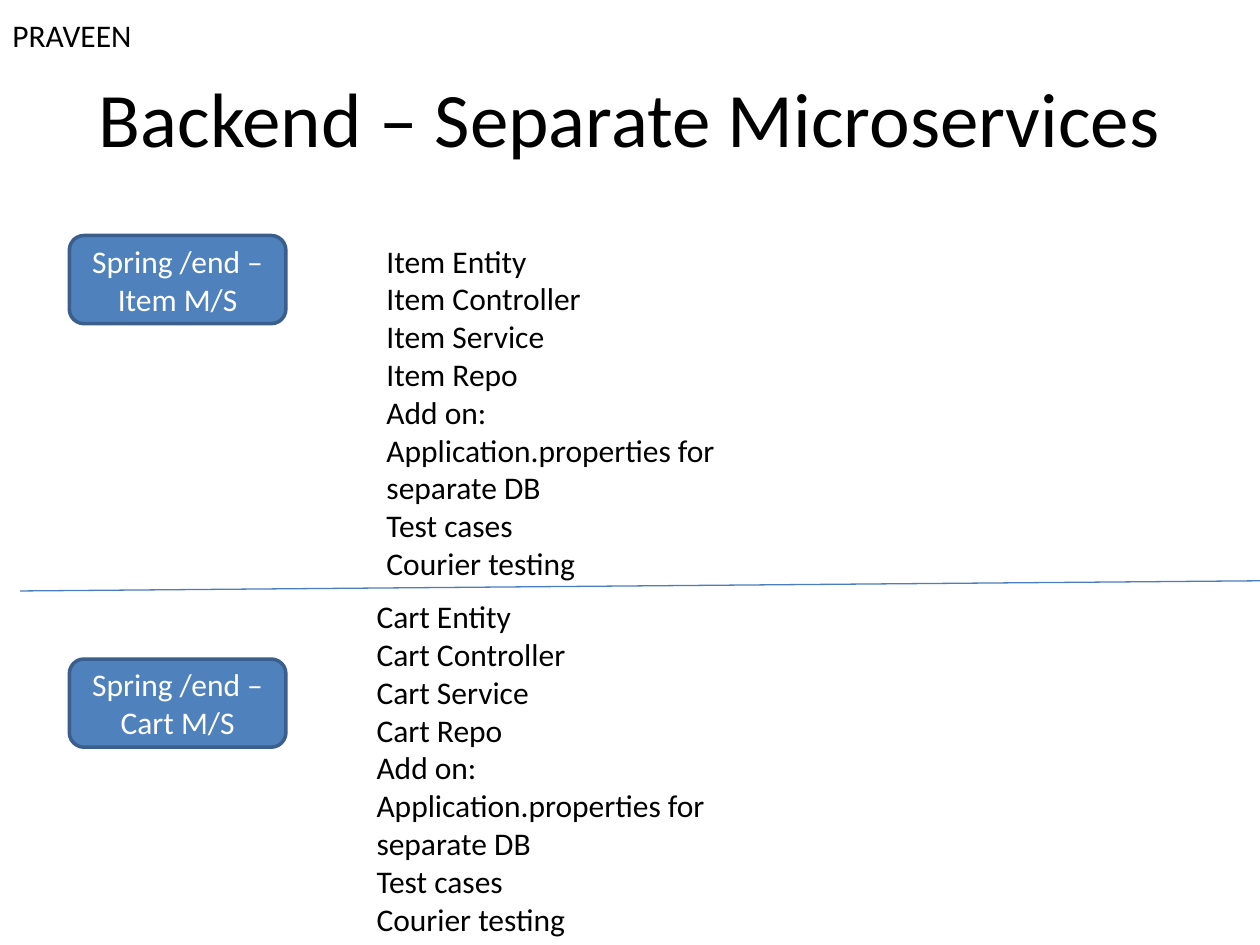
from dataclasses import dataclass

from lxml import etree
from pptx import Presentation
from pptx.dml.color import RGBColor
from pptx.enum.shapes import MSO_CONNECTOR, MSO_SHAPE
from pptx.enum.text import MSO_ANCHOR, PP_ALIGN
from pptx.oxml.ns import qn
from pptx.util import Pt

ROUND = MSO_SHAPE.ROUNDED_RECTANGLE
STRAIGHT = MSO_CONNECTOR.STRAIGHT
LEFT, CENTER = PP_ALIGN.LEFT, PP_ALIGN.CENTER
TOP, MIDDLE = MSO_ANCHOR.TOP, MSO_ANCHOR.MIDDLE


@dataclass(frozen=True)
class Theme:
    face: str = "Calibri"
    title: int = 44
    body: int = 18
    ink: RGBColor = RGBColor(0, 0, 0)
    light: RGBColor = RGBColor(255, 255, 255)
    fill: RGBColor = RGBColor.from_string("4F81BD")
    edge: RGBColor = RGBColor.from_string("3A5F8C")
    rule: RGBColor = RGBColor.from_string("4B7EBC")


theme = Theme()


def write(shape, lines, size=theme.body, color=theme.ink, align=LEFT, anchor=TOP):
    """Fill the shape with one paragraph per line."""
    frame = shape.text_frame
    frame.word_wrap = True
    frame.vertical_anchor = anchor
    frame.text = "\n".join(lines)
    for para in frame.paragraphs:
        para.alignment = align
        para.font.name = theme.face
        para.font.size = Pt(size)
        para.font.color.rgb = color


deck = Presentation()
deck.slide_width, deck.slide_height = Pt(720), Pt(540)
slide = deck.slides.add_slide(deck.slide_layouts[6])
shapes = slide.shapes

title = shapes.add_textbox(Pt(36), Pt(21.6), Pt(648), Pt(90))
write(title, ["Backend – Separate Microservices"], theme.title, align=CENTER, anchor=MIDDLE)

# Each service: name, top of its box, left and top of its list
services = [
    ("Item", 134.6, 213.8, 134.6),
    ("Cart", 376.6, 208.1, 337.7),
]
parts = ["Entity", "Controller", "Service", "Repo"]
extras = [
    "Add on:",
    "Application.properties for separate DB",
    "Test cases",
    "Courier testing",
]
for name, top, list_left, list_top in services:
    box = shapes.add_shape(ROUND, Pt(39.6), Pt(top), Pt(123.8), Pt(50.4))
    box.shadow.inherit = False
    box.fill.solid()
    box.fill.fore_color.rgb = theme.fill
    box.line.color.rgb = theme.edge
    box.line.width = Pt(2)
    write(box, [f"Spring /end – {name} M/S"], color=theme.light, align=CENTER, anchor=MIDDLE)

    tasks = shapes.add_textbox(Pt(list_left), Pt(list_top), Pt(264.2), Pt(225.4))
    write(tasks, [f"{name} {part}" for part in parts] + extras)

rule = shapes.add_connector(STRAIGHT, Pt(11.5), Pt(337.7), Pt(720), Pt(331.9))
rule.line.color.rgb = theme.rule
rule.line.width = Pt(0.75)
etree.SubElement(rule._element.spPr, qn("a:effectLst"))

author = shapes.add_textbox(Pt(0), Pt(5.8), Pt(157.7), Pt(28.8))
write(author, ["PRAVEEN"])

deck.save("out.pptx")
